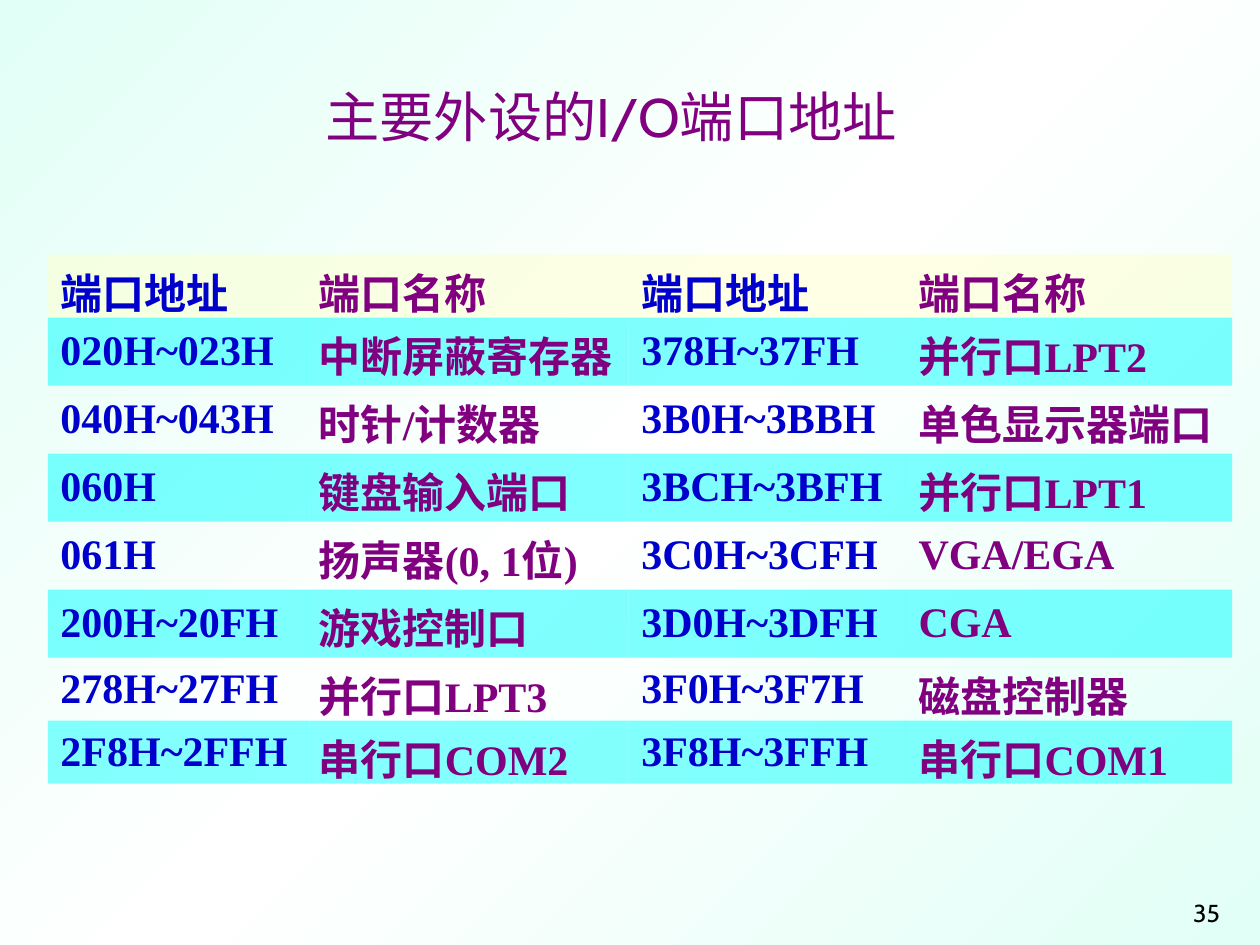
from copy import deepcopy

from pptx import Presentation
from pptx.dml.color import RGBColor
from pptx.enum.text import MSO_ANCHOR, MSO_AUTO_SIZE, PP_ALIGN
from pptx.oxml.ns import qn
from pptx.util import Inches, Pt
from lxml.etree import SubElement

BLUE = "0000CC"
PURPLE = "800080"
MINT = "E1FFF6"
WHITE = "FFFFFF"
CREAM = "FFFFCC"
CYAN = "00FFFF"
BLACK = "000000"
SERIF = "Times New Roman"
SANS = "Cabin"
PLAIN_TABLE_STYLE = "{2D5ABB26-0587-4C30-8999-92F81FD0307C}"

COLUMN_WIDTHS = [2.05, 2.56, 2.2, 2.59]
ROW_HEIGHTS = [0.5] + [0.54] * 5 + [0.5] * 2
PORT_ROWS = [
    ["端口地址", "端口名称", "端口地址", "端口名称"],
    ["020H~023H", "中断屏蔽寄存器", "378H~37FH", "并行口LPT2"],
    ["040H~043H", "时针/计数器", "3B0H~3BBH", "单色显示器端口"],
    ["060H", "键盘输入端口", "3BCH~3BFH", "并行口LPT1"],
    ["061H", "扬声器(0, 1位)", "3C0H~3CFH", "VGA/EGA"],
    ["200H~20FH", "游戏控制口", "3D0H~3DFH", "CGA"],
    ["278H~27FH", "并行口LPT3", "3F0H~3F7H", "磁盘控制器"],
    ["2F8H~2FFH", "串行口COM2", "3F8H~3FFH", "串行口COM1"],
]


def color(value):
    return RGBColor.from_string(value)


def style_font(font, name, size, value, bold=False):
    font.name = name
    font.size = Pt(size)
    font.color.rgb = color(value)
    font.bold = bold


def paint_background(slide):
    fill = slide.background.fill
    fill.gradient()
    fill.gradient_angle = 315
    stop_list = slide.element.find(".//" + qn("a:gsLst"))
    stop_list.append(deepcopy(stop_list[-1]))
    for stop, position, value in zip(fill.gradient_stops, [0, 0.5, 1], [MINT, WHITE, MINT]):
        stop.position = position
        stop.color.rgb = color(value)


def add_title(slide, left, top, width, height):
    title = slide.shapes.title
    title.left, title.top, title.width, title.height = left, top, width, height
    frame = title.text_frame
    frame.auto_size = MSO_AUTO_SIZE.NONE
    frame.vertical_anchor = MSO_ANCHOR.BOTTOM
    paragraph = frame.paragraphs[0]
    paragraph.alignment = PP_ALIGN.CENTER
    for text, name in [("主要外设的I/O", SANS), ("端口地址", SERIF)]:
        run = paragraph.add_run()
        run.text = text
        style_font(run.font, name, 31, PURPLE)


def fill_cell(cell, value, opacity):
    cell.fill.solid()
    cell.fill.fore_color.rgb = color(value)
    color_element = cell._tc.tcPr.find(".//" + qn("a:srgbClr"))
    SubElement(color_element, qn("a:alpha")).set("val", str(opacity * 1000))


def format_cell(cell, text, row, column):
    cell.text = text
    cell.vertical_anchor = MSO_ANCHOR.MIDDLE
    paragraph = cell.text_frame.paragraphs[0]
    paragraph.alignment = PP_ALIGN.JUSTIFY if row else PP_ALIGN.LEFT
    style_font(paragraph.font, SERIF, 24, PURPLE if column % 2 else BLUE, bold=True)
    if row == 0:
        fill_cell(cell, CREAM, 50)
    elif row % 2:
        fill_cell(cell, CYAN, 48 if row == len(PORT_ROWS) - 1 else 50)
    else:
        cell.fill.background()


def add_port_table(slide, left, top, width, height):
    frame = slide.shapes.add_table(
        len(PORT_ROWS), len(COLUMN_WIDTHS), left, top, width, height
    )
    table = frame.table
    table._tbl.tblPr.find(qn("a:tableStyleId")).text = PLAIN_TABLE_STYLE
    table.horz_banding = False
    for column, share in zip(table.columns, COLUMN_WIDTHS):
        column.width = int(width * share / sum(COLUMN_WIDTHS))
    for row, share in zip(table.rows, ROW_HEIGHTS):
        row.height = int(height * share / sum(ROW_HEIGHTS))
    for row, texts in enumerate(PORT_ROWS):
        for column, text in enumerate(texts):
            format_cell(table.cell(row, column), text, row, column)


def add_page_number(slide, left, top, width, height):
    frame = slide.shapes.add_textbox(left, top, width, height).text_frame
    frame.word_wrap = True
    frame.vertical_anchor = MSO_ANCHOR.BOTTOM
    paragraph = frame.paragraphs[0]
    paragraph.text = "35"
    paragraph.alignment = PP_ALIGN.RIGHT
    style_font(paragraph.font, SANS, 14, BLACK)


def main():
    presentation = Presentation()
    presentation.slide_width = Inches(10)
    presentation.slide_height = Inches(7.5)
    slide = presentation.slides.add_slide(presentation.slide_layouts[5])
    paint_background(slide)
    add_page_number(slide, Inches(7.42), Inches(7.03), Inches(2.36), Inches(0.38))
    add_port_table(slide, Inches(0.38), Inches(2.02), Inches(9.4), Inches(4.2))
    add_title(slide, Inches(0.59), Inches(0.61), Inches(8.52), Inches(0.62))
    presentation.save("out.pptx")


if __name__ == "__main__":
    main()
